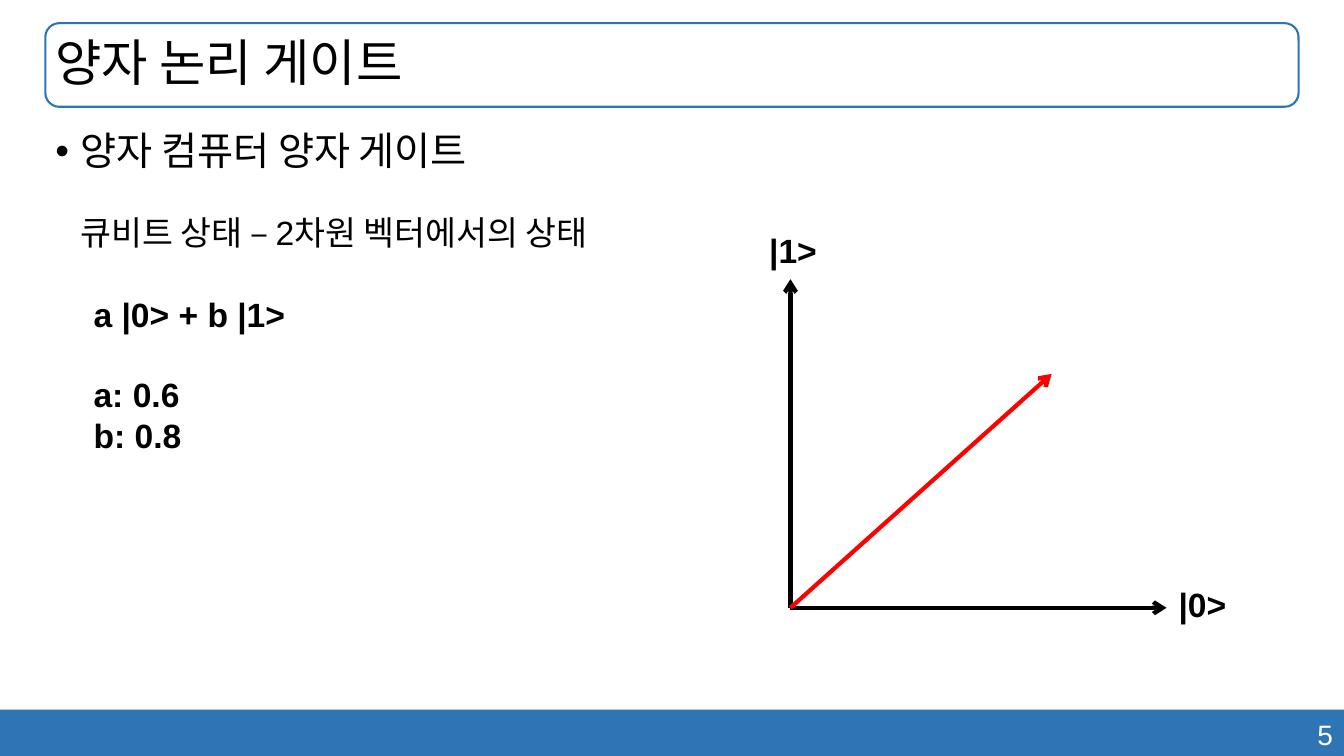
from pptx import Presentation
from pptx.dml.color import RGBColor
from pptx.enum.shapes import MSO_CONNECTOR as Connector, MSO_SHAPE as Shape
from pptx.enum.text import MSO_ANCHOR as Anchor, PP_ALIGN as Align
from pptx.oxml.ns import qn
from pptx.util import Inches, Pt
from lxml.etree import SubElement

BLUE, BLACK, WHITE, RED = "2E75B6", "000000", "FFFFFF", "FF0000"


def color(value):
    return RGBColor.from_string(value)


class SlideBuilder:
    font_name = "Arial"

    def __init__(self, slide):
        self.slide = slide

    def panel(self, kind, box, fill=None, line=None):
        shape = self.slide.shapes.add_shape(kind, *map(Inches, box))
        shape.shadow.inherit = False
        if fill:
            shape.fill.solid()
            shape.fill.fore_color.rgb = color(fill)
        else:
            shape.fill.background()
        if line:
            shape.line.color.rgb = color(line)
            shape.line.width = Pt(1.5)
        else:
            shape.line.fill.background()

    def text(self, box, lines, size, ink=BLACK, bold=False, align=Align.LEFT,
             anchor=Anchor.TOP, wrap=True, spacing=None):
        """Add a text box with one paragraph per line and return its paragraphs."""
        frame = self.slide.shapes.add_textbox(*map(Inches, box)).text_frame
        frame.word_wrap = wrap
        frame.vertical_anchor = anchor
        frame.text = "\n".join(lines)
        for paragraph in frame.paragraphs:
            paragraph.alignment = align
            paragraph.line_spacing = spacing
            for run in paragraph.runs:
                run.font.name = self.font_name
                run.font.size = Pt(size)
                run.font.bold = bold
                run.font.color.rgb = color(ink)
        return frame.paragraphs

    def indent(self, paragraph, bullet=None):
        """Indent a paragraph, hanging its first line when it has a bullet."""
        properties = paragraph._p.get_or_add_pPr()
        properties.set("marL", str(Inches(0.25)))
        if bullet:
            properties.set("indent", str(Inches(-0.25)))
            SubElement(properties, qn("a:buFont"), typeface=self.font_name)
            SubElement(properties, qn("a:buChar"), char=bullet)

    def arrow(self, start, end, ink=BLACK):
        connector = self.slide.shapes.add_connector(
            Connector.STRAIGHT, *map(Inches, start + end))
        connector.line.color.rgb = color(ink)
        connector.line.width = Pt(3)
        SubElement(connector.line._get_or_add_ln(), qn("a:tailEnd"), type="arrow")
        SubElement(connector._element.spPr, qn("a:effectLst"))


def main():
    presentation = Presentation()
    presentation.slide_width = Inches(13.33)
    presentation.slide_height = Inches(7.5)
    builder = SlideBuilder(presentation.slides.add_slide(presentation.slide_layouts[6]))

    builder.panel(Shape.RECTANGLE, (0, 7.04, 13.33, 0.46), fill=BLUE)
    builder.text((9.42, 7.07, 3.9, 0.44), ["5"], 20, WHITE, align=Align.RIGHT)

    title_box = (0.45, 0.23, 12.43, 0.83)
    builder.panel(Shape.ROUNDED_RECTANGLE, title_box, line=BLUE)
    builder.text(title_box, ["양자 논리 게이트"], 36, anchor=Anchor.MIDDLE, spacing=0.9)

    topic, state = builder.text(
        (0.45, 1.26, 12.43, 5.53),
        ["양자 컴퓨터 양자 게이트", "큐비트 상태 – 2차원 벡터에서의 상태"], 28, spacing=0.9)
    builder.indent(topic, bullet="•")
    builder.indent(state)
    state.space_before = Pt(30)
    state.runs[0].font.size = Pt(24)

    origin = (7.84, 6.03)
    builder.arrow(origin, (7.84, 2.77))
    builder.arrow(origin, (11.57, 6.03))
    for label, left, top in (("|1>", 7.53, 2.23), ("|0>", 11.59, 5.74)):
        builder.text((left, top, 0.68, 0.5), [label], 24, bold=True, wrap=False)
    builder.arrow(origin, (10.43, 3.71), RED)

    amplitudes = builder.text((0.83, 2.86, 3.17, 1.72),
                              ["a |0> + b |1>", "a: 0.6", "b: 0.8"], 24,
                              bold=True, spacing=Pt(29.2))
    amplitudes[1].space_before = Pt(28)

    presentation.save("out.pptx")


if __name__ == "__main__":
    main()
